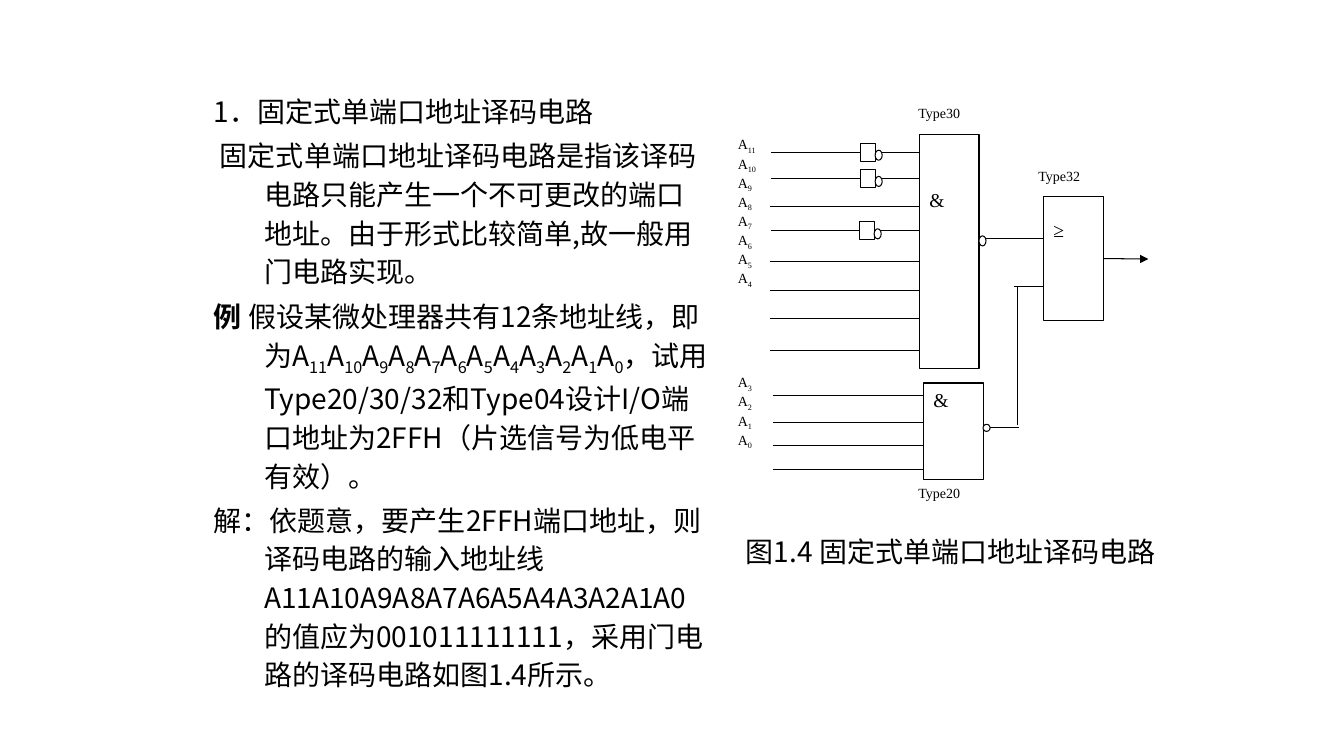
from dataclasses import dataclass
from typing import NamedTuple

import lxml.etree
import pptx
import pptx.dml.color
import pptx.enum.shapes
import pptx.enum.text
import pptx.oxml
import pptx.oxml.ns
import pptx.util

Inches = pptx.util.Inches
Pt = pptx.util.Pt
SHAPES = pptx.enum.shapes.MSO_SHAPE
JUSTIFY = pptx.enum.text.PP_ALIGN.JUSTIFY


@dataclass(frozen=True)
class Theme:
    ink: pptx.dml.color.RGBColor = pptx.dml.color.RGBColor(0, 0, 0)
    paper: pptx.dml.color.RGBColor = pptx.dml.color.RGBColor(255, 255, 255)
    prose_font: str = "Noto Sans CJK SC"
    diagram_font: str = "Times New Roman"
    prose_size: int = 20
    symbol_size: int = 14
    label_size: int = 10
    line_width: float = 0.75


class Box(NamedTuple):
    left: float
    top: float
    width: float
    height: float


class Piece(NamedTuple):
    text: str
    subscript: bool = False
    bold: bool = False


class Gate(NamedTuple):
    box: Box
    symbol: str
    symbol_top: float


class Label(NamedTuple):
    box: Box
    lines: list[list[Piece]]


class Wire(NamedTuple):
    x1: float
    y1: float
    x2: float
    y2: float


THEME = Theme()


def address_lines(high: int, low: int) -> list[list[Piece]]:
    """Return one A-with-subscript pair per address line, from high to low."""
    return [[Piece("A"), Piece(str(n), subscript=True)] for n in range(high, low - 1, -1)]


PROSE_BOX = Box(2.02, 0.84, 5.12, 6.38)
PROSE = [
    [Piece("1．固定式单端口地址译码电路")],
    [Piece(" 固定式单端口地址译码电路是指该译码电路只能产生一个不可更改的端口地址。"
           "由于形式比较简单,故一般用门电路实现。")],
    [Piece("例 ", bold=True), Piece("假设某微处理器共有12条地址线，即为"),
     *(piece for line in address_lines(11, 0) for piece in line),
     Piece("，试用Type20/30/32和Type04设计I/O端口地址为2FFH（片选信号为低电平有效）。")],
    [Piece("解：依题意，要产生2FFH端口地址，则译码电路的输入地址线"
           "A11A10A9A8A7A6A5A4A3A2A1A0的值应为001011111111，"
           "采用门电路的译码电路如图1.4所示。")],
]
CAPTION_BOX = Box(7.3, 5.25, 4.37, 0.43)
CAPTION = [[Piece("图1.4 固定式单端口地址译码电路")]]

NAND8 = Gate(Box(9.12, 1.33, 0.59, 2.33), "&", 0.53)
NAND4 = Gate(Box(9.16, 3.8, 0.6, 0.96), "&", 0.05)
OR_GATE = Gate(Box(10.35, 1.95, 0.6, 1.23), "≥", 0.21)

NAND8_INPUTS = [2.05, 2.59, 2.88, 3.16, 3.48]
NAND4_INPUTS = [3.92, 4.19, 4.42, 4.66]
INPUT_WIRES = (
    [Wire(7.64, y, NAND8.box.left, y) for y in NAND8_INPUTS]
    + [Wire(7.67, y, NAND4.box.left, y) for y in NAND4_INPUTS]
)
LINK_WIRES = [
    Wire(9.78, 2.37, 10.35, 2.37),
    Wire(9.81, 4.24, 10.11, 4.24),
    Wire(10.09, 4.22, 10.09, 2.85),
    Wire(10.06, 2.84, 10.36, 2.84),
]
INVERTERS = [Box(8.53, 1.42, 0.15, 0.18), Box(8.53, 1.68, 0.15, 0.18), Box(8.52, 2.2, 0.15, 0.18)]
OUTPUT_BUBBLES = [Box(9.71, 2.34, 0.07, 0.1), Box(9.75, 4.21, 0.07, 0.07)]
LABELS = [
    Label(Box(7.22, 1.3, 0.57, 2.33), address_lines(11, 4)),
    Label(Box(7.22, 3.66, 0.45, 1.23), address_lines(3, 0)),
    Label(Box(9.01, 0.99, 0.89, 0.41), [[Piece("Type30")]]),
    Label(Box(9.01, 4.76, 0.89, 0.41), [[Piece("Type20")]]),
    Label(Box(10.2, 1.61, 0.89, 0.41), [[Piece("Type32")]]),
]


def add_piece(paragraph, piece: Piece, font: str, size: int) -> None:
    run = paragraph.add_run()
    run.text = piece.text
    run.font.name = font
    run.font.size = Pt(size)
    run.font.bold = piece.bold
    run.font.color.rgb = THEME.ink
    properties = run.font._element
    east_asian = lxml.etree.SubElement(properties, pptx.oxml.ns.qn("a:ea"))
    east_asian.set("typeface", font)
    if piece.subscript:
        properties.set("baseline", "-25000")


def add_text(slide, box: Box, lines: list[list[Piece]], font: str, size: int) -> list:
    """Add a wrapped text box and return its paragraphs."""
    frame = slide.shapes.add_textbox(*map(Inches, box)).text_frame
    frame.word_wrap = True
    for index, pieces in enumerate(lines):
        paragraph = frame.add_paragraph() if index else frame.paragraphs[0]
        for piece in pieces:
            add_piece(paragraph, piece, font, size)
    return list(frame.paragraphs)


def add_prose(slide) -> None:
    for paragraph in add_text(slide, PROSE_BOX, PROSE, THEME.prose_font, THEME.prose_size):
        paragraph.line_spacing = 1.15
        paragraph.space_before = Pt(THEME.prose_size * 0.2)
        properties = paragraph._p.get_or_add_pPr()
        properties.set("marL", str(Inches(0.5)))
        properties.set("indent", str(Inches(-0.5)))


def add_outline(slide, kind: pptx.enum.shapes.MSO_SHAPE, box: Box):
    shape = slide.shapes.add_shape(kind, *map(Inches, box))
    shape.shadow.inherit = False
    shape.fill.solid()
    shape.fill.fore_color.rgb = THEME.paper
    shape.line.color.rgb = THEME.ink
    shape.line.width = Pt(THEME.line_width)
    return shape


def add_wire(slide, wire: Wire):
    connector = slide.shapes.add_connector(
        pptx.enum.shapes.MSO_CONNECTOR.STRAIGHT, *map(Inches, wire))
    connector.line.color.rgb = THEME.ink
    connector.line.width = Pt(THEME.line_width)
    lxml.etree.SubElement(connector._element.spPr, pptx.oxml.ns.qn("a:effectLst"))
    return connector


def add_gate(slide, gate: Gate):
    body = add_outline(slide, SHAPES.RECTANGLE, gate.box)
    frame = body.text_frame
    frame.vertical_anchor = pptx.enum.text.MSO_ANCHOR.TOP
    frame.margin_top = Inches(gate.symbol_top)
    frame.paragraphs[0].alignment = JUSTIFY
    add_piece(frame.paragraphs[0], Piece(gate.symbol), THEME.diagram_font, THEME.symbol_size)
    return body


def add_inverter(slide, box: Box) -> None:
    """Add an inverter with its input wire, output wire and bubble."""
    middle = box.top + box.height / 2
    right = box.left + box.width
    body = add_outline(slide, SHAPES.RECTANGLE, box)
    add_wire(slide, Wire(7.65, middle, box.left, middle)).end_connect(body, 1)
    add_wire(slide, Wire(right, middle, NAND8.box.left, middle)).begin_connect(body, 3)
    add_outline(slide, SHAPES.OVAL, Box(right, box.top + 0.07, 0.07, 0.1))


def add_output_arrow(slide, or_body) -> None:
    arrow = add_wire(slide, Wire(10.95, 2.57, 11.39, 2.57))
    arrow.begin_connect(or_body, 3)
    tail = lxml.etree.SubElement(arrow.line._get_or_add_ln(), pptx.oxml.ns.qn("a:tailEnd"))
    tail.set("type", "triangle")


def main() -> None:
    deck = pptx.Presentation()
    deck.slide_width, deck.slide_height = Inches(13.33), Inches(7.5)
    slide = deck.slides.add_slide(deck.slide_layouts[6])
    add_prose(slide)
    for wire in INPUT_WIRES + LINK_WIRES:
        add_wire(slide, wire)
    for gate in (NAND8, NAND4):
        add_gate(slide, gate)
    add_output_arrow(slide, add_gate(slide, OR_GATE))
    for inverter in INVERTERS:
        add_inverter(slide, inverter)
    for bubble in OUTPUT_BUBBLES:
        add_outline(slide, SHAPES.OVAL, bubble)
    for label in LABELS:
        for line in add_text(slide, label.box, label.lines, THEME.diagram_font, THEME.label_size):
            line.alignment = JUSTIFY
    add_text(slide, CAPTION_BOX, CAPTION, THEME.prose_font, THEME.prose_size)
    deck.save("out.pptx")


if __name__ == "__main__":
    main()
